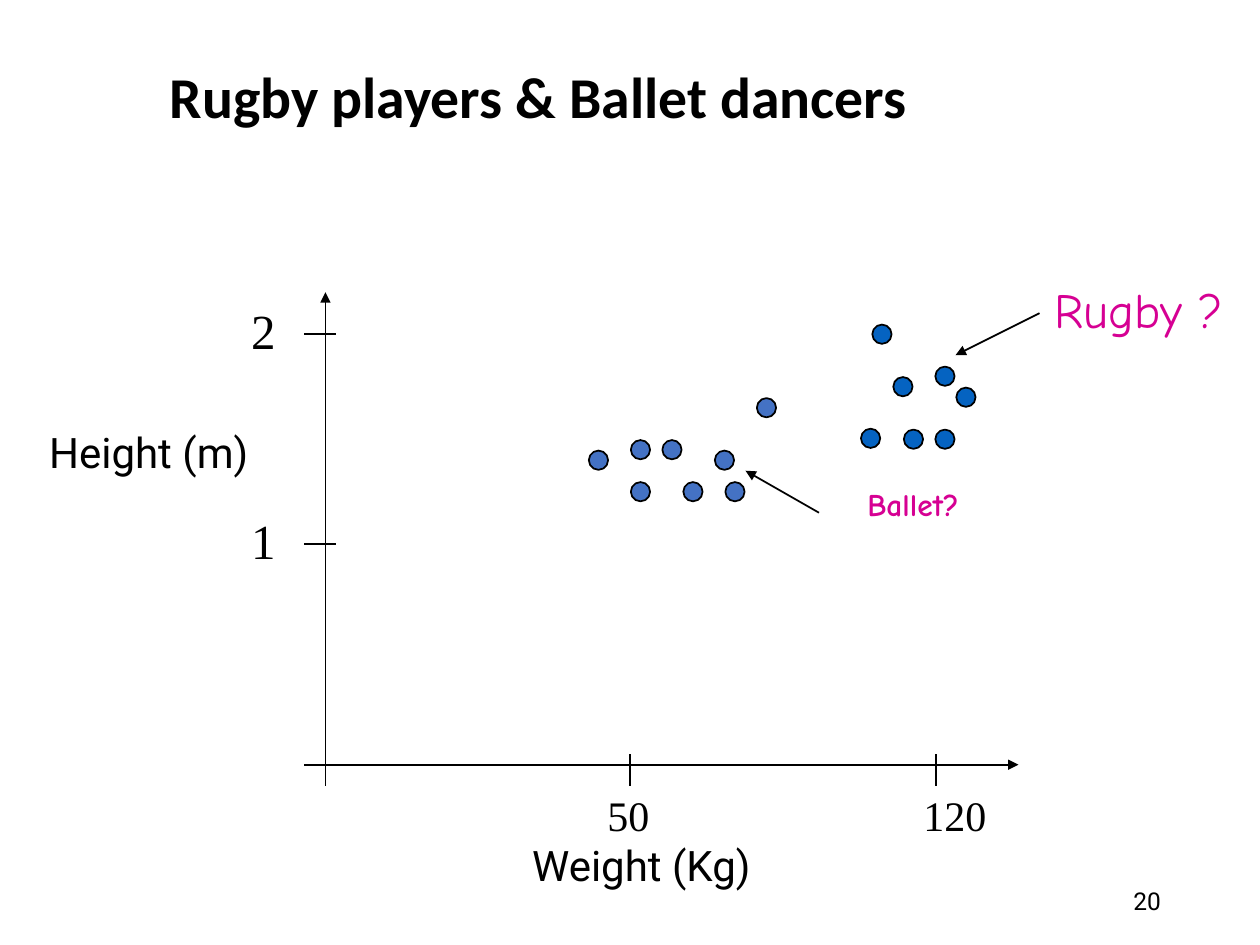
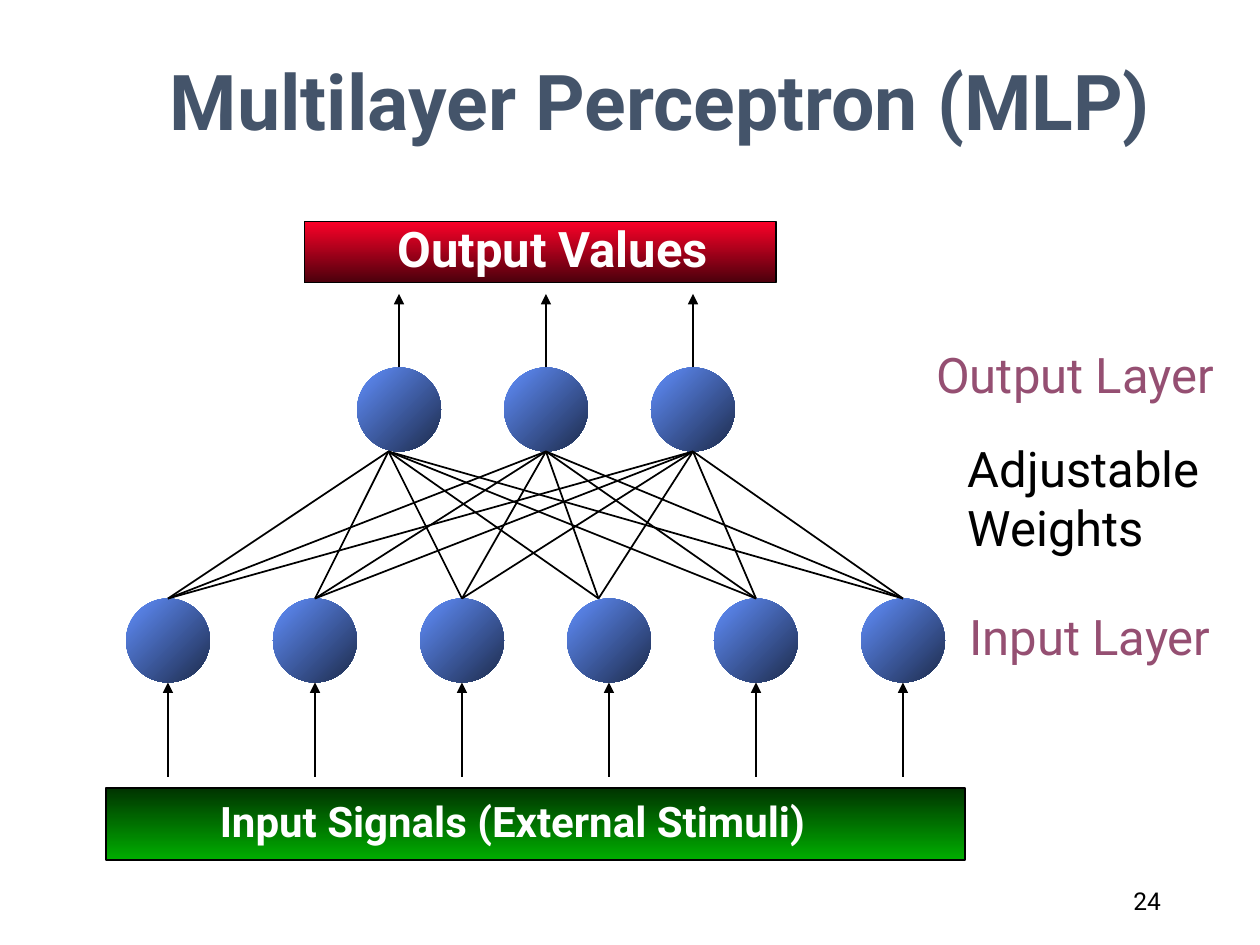
from dataclasses import dataclass
from itertools import product

from lxml.etree import SubElement
from pptx import Presentation
from pptx.dml.color import RGBColor
from pptx.enum.shapes import MSO_CONNECTOR, MSO_SHAPE
from pptx.enum.text import MSO_ANCHOR, MSO_AUTO_SIZE, PP_ALIGN
from pptx.oxml.ns import qn
from pptx.util import Pt


@dataclass(frozen=True)
class Theme:
    black: str = "000000"
    white: str = "FFFFFF"
    slate: str = "44546A"
    magenta: str = "D60093"
    plum: str = "954F72"
    ballet: str = "4472C4"
    rugby: str = "0563C1"
    neuron: tuple = ("618FFD", "1D2B4B")
    output_band: tuple = ("FC0128", "4B000C")
    input_band: tuple = ("003400", "00AE00")
    sans: str = "Roboto"
    serif: str = "Times New Roman"
    comic: str = "Comic Neue"
    heading: str = "Calibri"
    huge: int = 44
    title: int = 33
    large: int = 28
    medium: int = 24
    small: int = 18
    footer: int = 14
    stroke: int = 1


theme = Theme()


def add_text(slide, box, text, size, color=theme.black, font=theme.sans, bold=False,
             align=PP_ALIGN.LEFT, framed=False, line_spacing=None):
    frame = slide.shapes.add_textbox(*map(Pt, box)).text_frame
    frame.word_wrap = framed
    frame.auto_size = MSO_AUTO_SIZE.NONE if framed else MSO_AUTO_SIZE.SHAPE_TO_FIT_TEXT
    frame.vertical_anchor = MSO_ANCHOR.MIDDLE if framed else MSO_ANCHOR.TOP
    frame.text = text
    for paragraph in frame.paragraphs:
        paragraph.alignment = align
        paragraph.line_spacing = line_spacing
        paragraph.font.name = font
        paragraph.font.size = Pt(size)
        paragraph.font.bold = bold
        paragraph.font.color.rgb = RGBColor.from_string(color)


def add_line(slide, start, end, arrow=False):
    line = slide.shapes.add_connector(MSO_CONNECTOR.STRAIGHT, *map(Pt, (*start, *end)))
    line.line.color.rgb = RGBColor.from_string(theme.black)
    line.line.width = Pt(theme.stroke)
    if arrow:
        SubElement(line.line._get_or_add_ln(), qn("a:tailEnd"), type="triangle")
    SubElement(line._element.spPr, qn("a:effectLst"))


deck = Presentation()
deck.slide_width, deck.slide_height = Pt(720), Pt(540)
scatter, network = (deck.slides.add_slide(deck.slide_layouts[6]) for _ in range(2))

add_text(scatter, (90, 12, 612, 90), "Rugby players & Ballet dancers", theme.title,
         font=theme.heading, bold=True, framed=True, line_spacing=0.9)
add_text(network, (90, 12, 582, 90), "Multilayer Perceptron (MLP)", theme.huge,
         theme.slate, bold=True, framed=True)
for slide, number in ((scatter, "20"), (network, "24")):
    add_text(slide, (508.5, 500.5, 162, 28.5), number, theme.footer,
             align=PP_ALIGN.RIGHT, framed=True)

add_line(scatter, (186, 449), (186, 167), arrow=True)
add_line(scatter, (174, 437), (582, 437), arrow=True)
for label, y in (("2", 191), ("1", 311)):
    add_line(scatter, (192, y), (174, y))
    add_text(scatter, (136.5, y - 23, 30, 40), label, theme.large, font=theme.serif)
for label, x, left, width in (("50", 360, 340, 42), ("120", 535, 520.5, 54)):
    add_line(scatter, (x, 431), (x, 449))
    add_text(scatter, (left, 447.5, width, 36), label, theme.medium, font=theme.serif)
add_text(scatter, (21, 240, 135, 36), "Height (m)", theme.medium)
add_text(scatter, (297, 476, 147, 36), "Weight (Kg)", theme.medium)

add_text(scatter, (595.5, 156, 112, 40), "Rugby ?", theme.large, theme.magenta, theme.comic)
add_line(scatter, (594, 179), (546, 203), arrow=True)
add_text(scatter, (488.5, 273.5, 74, 29), "Ballet?", theme.small, theme.magenta,
         theme.comic, bold=True)
add_line(scatter, (468, 293), (426, 269), arrow=True)

ballet_dancers = ((336.5, 257.5), (360.5, 275.5), (378.5, 251.5), (408.5, 257.5),
                  (432.5, 227.5), (390.5, 275.5), (360.5, 251.5), (414.5, 275.5))
rugby_players = ((498.5, 185.5), (510.5, 215.5), (546.5, 221.5), (534.5, 245.5),
                 (534.5, 209.5), (516.5, 245.5), (492, 245))
for people, color in ((ballet_dancers, theme.ballet), (rugby_players, theme.rugby)):
    for left, top in people:
        person = scatter.shapes.add_shape(MSO_SHAPE.OVAL, Pt(left), Pt(top), Pt(11), Pt(11))
        person.shadow.inherit = False
        person.fill.solid()
        person.fill.fore_color.rgb = RGBColor.from_string(color)
        person.line.color.rgb = RGBColor.from_string(theme.black)
        person.line.width = Pt(theme.stroke)

diameter, pitch = 48, 84
output_top, input_top = 210, 342
output_centers = [228 + pitch * i for i in range(3)]
input_centers = [96 + pitch * i for i in range(6)]
neurons = [(MSO_SHAPE.OVAL, (x - diameter / 2, top, diameter, diameter), theme.neuron, 315, False)
           for centers, top in ((output_centers, output_top), (input_centers, input_top))
           for x in centers]
bands = [(MSO_SHAPE.RECTANGLE, (60.5, 450.5, 491, 41), theme.input_band, 270, True),
         (MSO_SHAPE.RECTANGLE, (174, 126.5, 269.5, 35), theme.output_band, 270, True)]
for kind, box, colors, angle, outlined in bands + neurons:
    part = network.shapes.add_shape(kind, *map(Pt, box))
    part.shadow.inherit = False
    part.fill.gradient()
    part.fill.gradient_angle = angle
    for stop, color in zip(part.fill.gradient_stops, colors):
        stop.color.rgb = RGBColor.from_string(color)
    if outlined:
        part.line.color.rgb = RGBColor.from_string(theme.black)
        part.line.width = Pt(theme.stroke)
    else:
        part.line.fill.background()

weight_tops = (222, 312, 396)
weight_bottoms = (96, 180, 264, 342, 432, 516)
for top_x, bottom_x in product(weight_tops, weight_bottoms):
    add_line(network, (top_x, output_top + diameter), (bottom_x, input_top))
for x in output_centers:
    add_line(network, (x, output_top), (x, 168), arrow=True)
for x in input_centers:
    add_line(network, (x, 444), (x, input_top + diameter), arrow=True)

add_text(network, (220, 121.5, 215, 40), "Output Values", theme.large, theme.white, bold=True)
add_text(network, (118.5, 451, 387, 36), "Input Signals (External Stimuli)",
         theme.medium, theme.white, bold=True)
add_text(network, (528, 193.5, 188, 40), "Output Layer", theme.large, theme.plum)
add_text(network, (546, 247, 153.5, 74), "Adjustable\nWeights", theme.large)
add_text(network, (547, 343, 166, 40), "Input Layer", theme.large, theme.plum)

deck.save("out.pptx")
